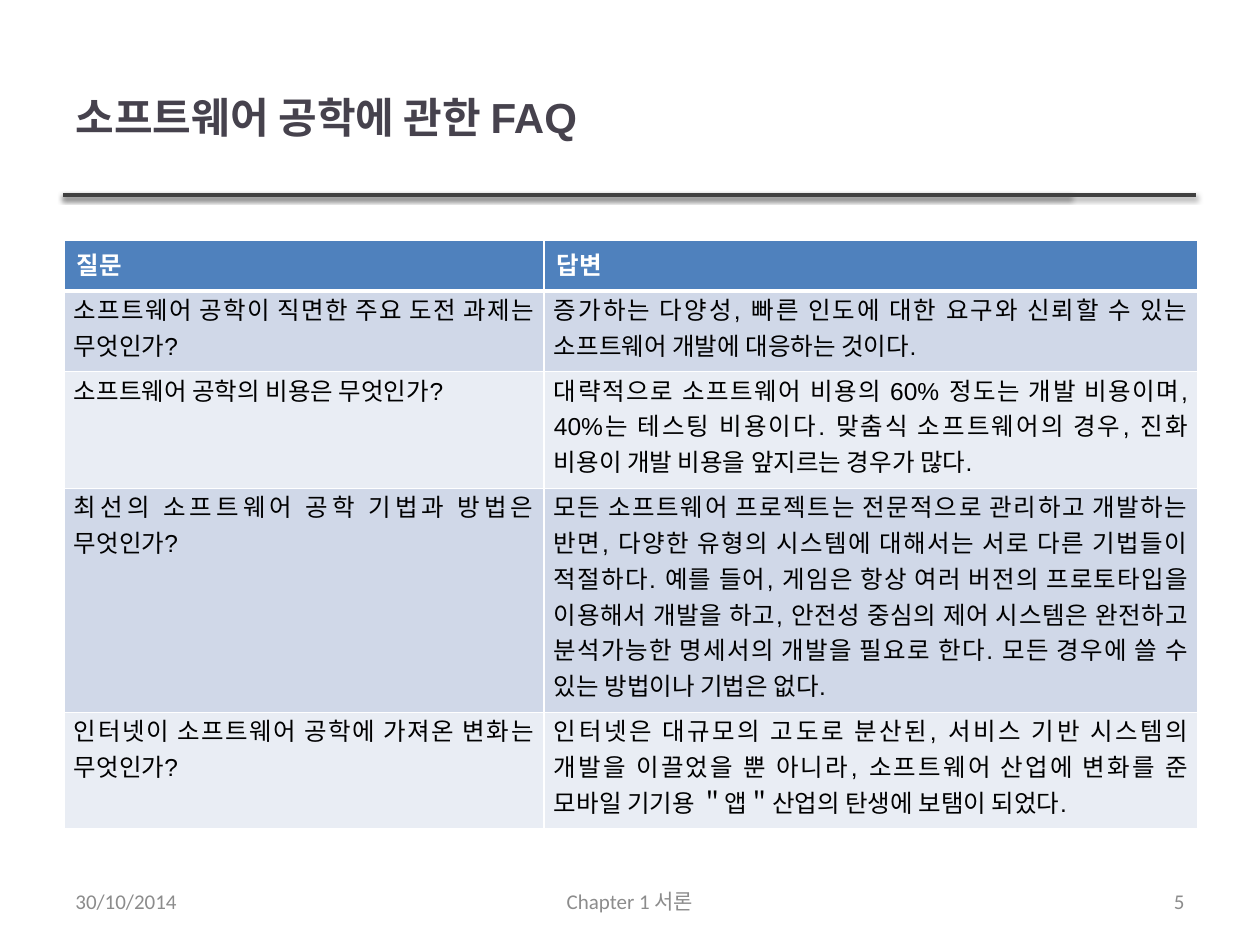
from lxml import etree
from pptx import Presentation
from pptx import util as u
from pptx.dml.color import RGBColor
from pptx.enum import shapes, text
from pptx.oxml import ns

SCALE = 914400 / 126
ALIGN = text.PP_ALIGN
INK, GREY, WHITE = "000000", "8C8C8C", "FFFFFF"
HEAD, BANDS = "4F81BD", ("D0D8E8", "E9EDF4")
COLS = (480, 654)
HEIGHTS = (51, 80, 117, 224, 116)
ROWS = (
    ("질문", "답변"),
    ("소프트웨어 공학이 직면한 주요 도전 과제는 무엇인가?",
     "증가하는 다양성, 빠른 인도에 대한 요구와 신뢰할 수 있는 소프트웨어 "
     "개발에 대응하는 것이다."),
    ("소프트웨어 공학의 비용은 무엇인가?",
     "대략적으로 소프트웨어 비용의 60% 정도는 개발 비용이며, 40%는 테스팅 "
     "비용이다. 맞춤식 소프트웨어의 경우, 진화 비용이 개발 비용을 앞지르는 "
     "경우가 많다."),
    ("최선의 소프트웨어 공학 기법과 방법은 무엇인가?",
     "모든 소프트웨어 프로젝트는 전문적으로 관리하고 개발하는 반면, 다양한 "
     "유형의 시스템에 대해서는 서로 다른 기법들이 적절하다. 예를 들어, 게임은 "
     "항상 여러 버전의 프로토타입을 이용해서 개발을 하고, 안전성 중심의 제어 "
     "시스템은 완전하고 분석가능한 명세서의 개발을 필요로 한다. 모든 경우에 "
     "쓸 수 있는 방법이나 기법은 없다."),
    ("인터넷이 소프트웨어 공학에 가져온 변화는 무엇인가?",
     "인터넷은 대규모의 고도로 분산된, 서비스 기반 시스템의 개발을 이끌었을 "
     "뿐 아니라, 소프트웨어 산업에 변화를 준 모바일 기기용 ＂앱＂산업의 "
     "탄생에 보탬이 되었다."),
)


def px(n):
    return u.Emu(round(n * SCALE))


def color(code):
    return RGBColor.from_string(code)


def child(node, tag, **attrs):
    return etree.SubElement(node, ns.qn(tag), attrs)


def write(frame, words, size, code, font="Arial", bold=False, align=ALIGN.LEFT):
    frame.text = words
    para = frame.paragraphs[0]
    para.alignment = align
    for run in para.runs:
        run.font.size = u.Pt(size)
        run.font.name = font
        run.font.bold = bold
        run.font.color.rgb = color(code)


def add_title(slide, words):
    title = slide.shapes.title
    title.left, title.top, title.width, title.height = map(px, (63, 38, 1006, 195 - 38))
    title.text_frame.vertical_anchor = text.MSO_ANCHOR.MIDDLE
    write(title.text_frame, words, 24, "46424D", bold=True)


def add_rule(slide, end):
    """Draw a shadowed line under the title, from the left margin to end."""
    line = slide.shapes.add_connector(
        shapes.MSO_CONNECTOR.STRAIGHT, px(63), px(195), px(end), px(195))
    line.line.color.rgb = color("404040")
    line.line.width = u.Pt(2)
    effects = child(line._element.spPr, "a:effectLst")
    shadow = child(effects, "a:outerShdw", blurRad=str(u.Pt(3.1)),
                   dist=str(u.Pt(1.6)), dir="5400000", rotWithShape="0")
    tone = child(shadow, "a:srgbClr", val=INK)
    child(tone, "a:alpha", val="38000")


def set_edges(cell, top, bottom):
    """Put white borders on a cell; top and bottom widths are in points."""
    props = cell._tc.get_or_add_tcPr()
    for i, (side, width) in enumerate(zip("LRTB", (1, 1, top, bottom))):
        edge = etree.Element(ns.qn(f"a:ln{side}"), w=str(u.Pt(width)))
        child(child(edge, "a:solidFill"), "a:srgbClr", val=WHITE)
        props.insert(i, edge)


def fill_cell(cell, words, row):
    cell.fill.solid()
    if row == 0:
        cell.fill.fore_color.rgb = color(HEAD)
        write(cell.text_frame, words, 14, WHITE, bold=True)
    else:
        cell.fill.fore_color.rgb = color(BANDS[(row - 1) % 2])
        cell.margin_left = cell.margin_right = px(10)
        cell.margin_top, cell.margin_bottom = 0, px(9)
        write(cell.text_frame, words, 14, INK, align=ALIGN.JUSTIFY)
    set_edges(cell, 3 if row == 1 else 1, 3 if row == 0 else 1)


def add_faq(slide):
    table = slide.shapes.add_table(
        len(ROWS), len(COLS), px(64), px(240), px(sum(COLS)), px(sum(HEIGHTS))).table
    for col, width in zip(table.columns, COLS):
        col.width = px(width)
    for r, (words, height) in enumerate(zip(ROWS, HEIGHTS)):
        table.rows[r].height = px(height)
        for c, item in enumerate(words):
            fill_cell(table.cell(r, c), item, r)


def add_foot(slide, left, width, words, align):
    frame = slide.shapes.add_textbox(px(left), px(876), px(width), px(50)).text_frame
    frame.word_wrap = True
    frame.vertical_anchor = text.MSO_ANCHOR.MIDDLE
    write(frame, words, 12, GREY, "Calibri", align=align)


def main():
    deck = Presentation()
    deck.slide_width, deck.slide_height = px(1260), px(945)
    slide = deck.slides.add_slide(deck.slide_layouts[5])
    for end in (1070, 1196):
        add_rule(slide, end)
    add_title(slide, "소프트웨어 공학에 관한 FAQ")
    add_faq(slide)
    add_foot(slide, 430, 400, "Chapter 1 서론", ALIGN.CENTER)
    add_foot(slide, 63, 294, "30/10/2014", ALIGN.LEFT)
    add_foot(slide, 903, 294, "5", ALIGN.RIGHT)
    deck.save("out.pptx")


if __name__ == "__main__":
    main()
